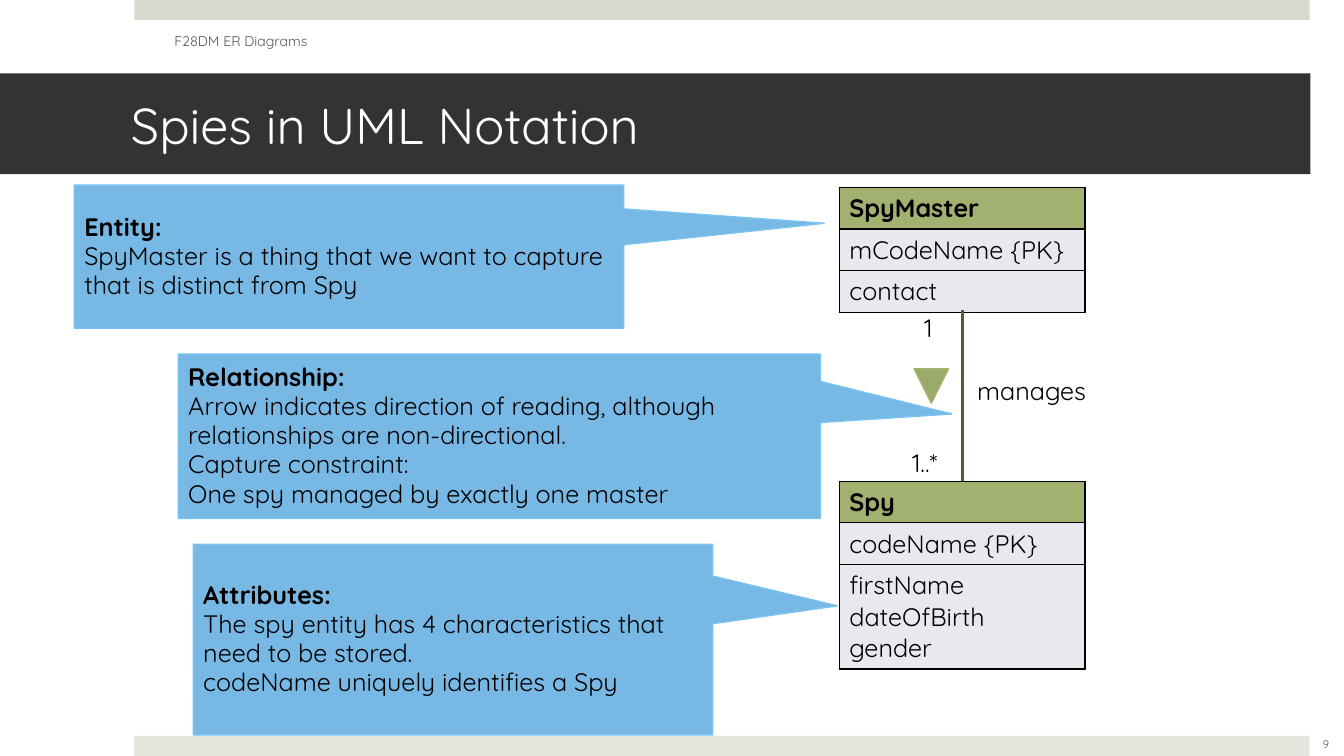
from lxml import etree
from pptx import Presentation
from pptx import util as u
from pptx.dml.color import RGBColor
from pptx.enum import shapes, text
from pptx.oxml import ns

WHITE = RGBColor(0xFF, 0xFF, 0xFF)
BLACK = RGBColor(0x00, 0x00, 0x00)
GREY = RGBColor(0x59, 0x59, 0x59)
CHARCOAL = RGBColor(0x33, 0x33, 0x33)
TOP_BAND = RGBColor(0xD6, 0xD9, 0xCD)
BOTTOM_BAND = RGBColor(0xE4, 0xE6, 0xDE)
OLIVE = RGBColor(0x54, 0x5D, 0x33)
HEADER = RGBColor(0xA2, 0xB1, 0x70)
BODY = RGBColor(0xE8, 0xE9, 0xEF)
ARROW = RGBColor(0x9B, 0xA9, 0x6B)
ARROW_EDGE = RGBColor(0xA3, 0xB3, 0x6E)
BLUE = RGBColor(0x77, 0xB8, 0xE4)
BLUE_EDGE = RGBColor(0x7A, 0xC2, 0xF2)
SHAPE = shapes.MSO_SHAPE
MIDDLE = text.MSO_ANCHOR.MIDDLE
TOP = text.MSO_ANCHOR.TOP
LEFT = text.PP_ALIGN.LEFT
CENTER = text.PP_ALIGN.CENTER


def pts(values):
    return [u.Pt(v) for v in values]


def apply(target, values):
    for name, value in values.items():
        setattr(target, name, value)


class Diagram:
    font = "Quicksand"
    size = 18

    def __init__(self, s):
        self.s = s

    def add_lines(self, tf, lines, size=size, color=BLACK, bold_first=False, align=LEFT, spacing=None):
        for i, line in enumerate(lines):
            p = tf.add_paragraph() if i else tf.paragraphs[0]
            apply(p, {"alignment": align, "line_spacing": spacing})
            r = p.add_run()
            r.text = line
            apply(r.font, {"name": self.font, "size": u.Pt(size), "bold": bold_first and i == 0})
            r.font.color.rgb = color

    def shape(self, kind, box, fill, edge=None):
        sp = self.s.shapes.add_shape(kind, *pts(box))
        sp.shadow.inherit = False
        sp.fill.solid()
        sp.fill.fore_color.rgb = fill
        if edge is None:
            sp.line.fill.background()
        else:
            sp.line.color.rgb = edge
            sp.line.width = u.Pt(1)
        return sp

    def title(self, box, words):
        tf = self.shape(SHAPE.RECTANGLE, box, CHARCOAL).text_frame
        apply(tf, {"word_wrap": True, "vertical_anchor": MIDDLE,
                   "margin_left": u.Pt(93.6), "margin_right": u.Pt(21.6)})
        self.add_lines(tf, [words], 36, WHITE)

    def label(self, box, words, wrap=False, anchor=TOP, **style):
        tf = self.s.shapes.add_textbox(*pts(box)).text_frame
        apply(tf, {"word_wrap": wrap, "vertical_anchor": anchor})
        self.add_lines(tf, [words], **style)

    def callout(self, box, tip, lines):
        sp = self.shape(SHAPE.RECTANGULAR_CALLOUT, box, BLUE, BLUE_EDGE)
        for i, value in enumerate(tip):
            sp.adjustments[i] = value
        apply(sp.text_frame, {"word_wrap": True, "vertical_anchor": MIDDLE})
        self.add_lines(sp.text_frame, lines, bold_first=True, spacing=0.96)

    def arrow(self, box):
        self.shape(SHAPE.ISOSCELES_TRIANGLE, box, ARROW, ARROW_EDGE).rotation = 180

    def line(self, ends):
        c = self.s.shapes.add_connector(shapes.MSO_CONNECTOR.STRAIGHT, *pts(ends))
        c.line.color.rgb = OLIVE
        c.line.width = u.Pt(2.5)
        etree.SubElement(c._element.spPr, ns.qn("a:effectLst"))

    def border(self, cell):
        tcPr = cell._tc.get_or_add_tcPr()
        for side in "LRTB":
            ln = etree.SubElement(tcPr, ns.qn(f"a:ln{side}"), w=str(u.Pt(1)))
            fill = etree.SubElement(ln, ns.qn("a:solidFill"))
            etree.SubElement(fill, ns.qn("a:srgbClr"), val=str(BLACK))

    def entity(self, left, top, width, rows):
        heights = [22.5 * len(lines) + 7.2 for lines in rows]
        box = pts((left, top, width, sum(heights)))
        table = self.s.shapes.add_table(len(rows), 1, *box).table
        apply(table, {"first_row": False, "horz_banding": False})
        for i, lines in enumerate(rows):
            table.rows[i].height = u.Pt(heights[i])
            cell = table.cell(i, 0)
            self.border(cell)
            cell.fill.solid()
            cell.fill.fore_color.rgb = BODY if i else HEADER
            self.add_lines(cell.text_frame, lines, bold_first=i == 0)


def main():
    prs = Presentation()
    apply(prs, {"slide_width": u.Pt(960), "slide_height": u.Pt(540)})
    d = Diagram(prs.slides.add_slide(prs.slide_layouts[6]))

    for top, color in ((0, TOP_BAND), (525.6, BOTTOM_BAND)):
        d.shape(SHAPE.RECTANGLE, (96, top, 839.5, 14.4), color)
    d.title((0, 52.5, 936, 72), "Spies in UML Notation")
    d.label((117.4, 15.1, 303.8, 28.8), "F28DM ER Diagrams", True, MIDDLE, size=10, color=GREY)
    d.label((923, 517, 48.2, 28.8), "9", True, MIDDLE, size=8, color=GREY, align=CENTER)

    d.entity(599.5, 133.9, 175.5, [["SpyMaster"], ["mCodeName {PK}"], ["contact"]])
    d.entity(599.5, 343.8, 175.5,
             [["Spy"], ["codeName {PK}"], ["firstName", "dateOfBirth", "gender"]])
    d.line((687.6, 221.5, 687.6, 343.8))
    d.label((687.6, 264.5, 98.6, 29), "manages", align=CENTER)
    d.label((644.4, 316.1, 42.5, 29), "1..*")
    d.arrow((653, 263.5, 24.5, 24.5))
    d.label((653, 219.6, 24.5, 29), "1")

    d.callout((127.4, 252.9, 458.6, 117.4), (0.705, -0.135), [
        "Relationship:",
        "Arrow indicates direction of reading, although relationships are non-directional.",
        "Capture constraint:",
        "One spy managed by exactly one master"])
    d.callout((138.1, 388.8, 371, 136.1), (0.74, -0.177), [
        "Attributes:",
        "The spy entity has 4 characteristics that need to be stored.",
        "codeName uniquely identifies a Spy"])
    d.callout((53.1, 132.2, 392.4, 102.2), (0.865, -0.233), [
        "Entity:",
        "SpyMaster is a thing that we want to capture that is distinct from Spy"])

    prs.save("out.pptx")


if __name__ == "__main__":
    main()
